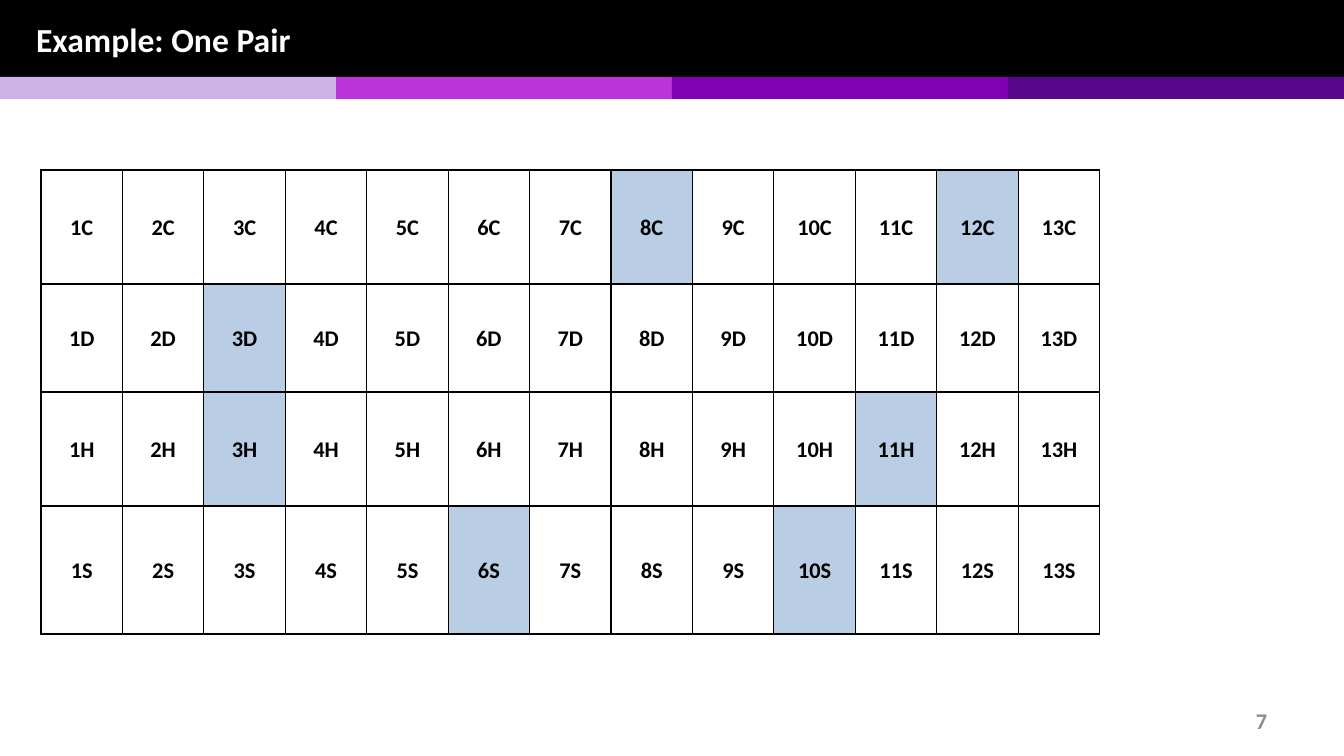
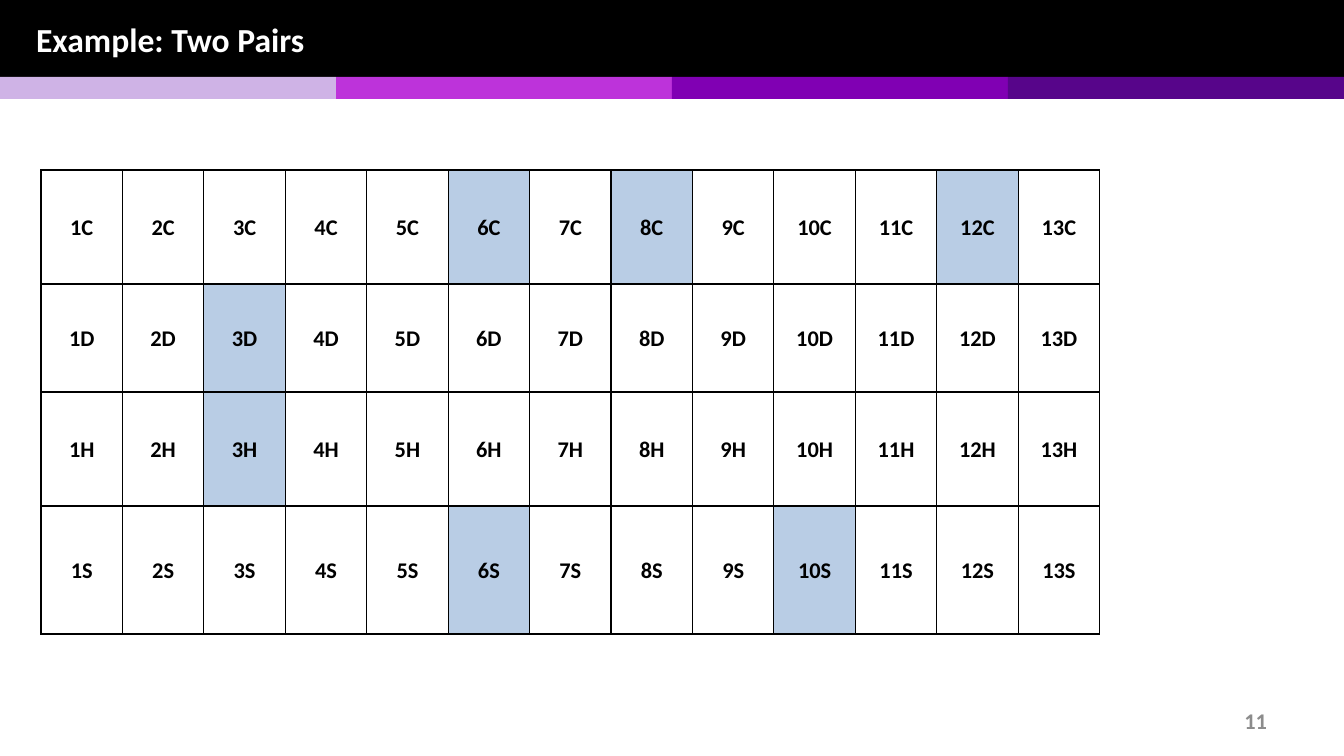
import pptx
import pptx.dml.color
import pptx.enum.shapes
import pptx.enum.text
import pptx.oxml
import pptx.oxml.ns
import pptx.util


class Theme:
    font = "Calibri"
    black = "000000"
    white = "FFFFFF"
    grey = "8C8C8C"
    highlight = "B9CDE5"
    bands = ("CFB3E6", "BD33DA", "8000B3", "57058A")
    title_size = 24
    text_size = 16


ALIGN = pptx.enum.text.PP_ALIGN
MIDDLE = pptx.enum.text.MSO_ANCHOR.MIDDLE
WIDTH, HEIGHT = 1344, 756
HEADER_H, BAND_H = 77, 22
TABLE_W, ROW_HEIGHTS = 1059, (114, 108, 114, 128)
RANKS, SUITS = range(1, 14), "CDHS"
SLIDES = (
    ("Example: One Pair", "7", {"8C", "12C", "3D", "3H", "11H", "6S", "10S"}),
    ("Example: Two Pairs", "11", {"6C", "8C", "12C", "3D", "3H", "6S", "10S"}),
)


def px(n):
    return pptx.util.Emu(round(n * 914400 / 100.8))


def write(tf, text, size=Theme.text_size, color=Theme.black, align=ALIGN.LEFT, spacing=1.0):
    tf.word_wrap = True
    p = tf.paragraphs[0]
    p.alignment = align
    p.line_spacing = spacing
    p.space_before = pptx.util.Pt(0)
    r = p.add_run()
    r.text = text
    r.font.name = Theme.font
    r.font.size = pptx.util.Pt(size)
    r.font.bold = True
    r.font.color.rgb = pptx.dml.color.RGBColor.from_string(color)


prs = pptx.Presentation()
prs.slide_width, prs.slide_height = px(WIDTH), px(HEIGHT)
layout = prs.slide_layouts.get_by_name("Title Only")
slides = [prs.slides.add_slide(layout) for _ in SLIDES]

band_w = WIDTH // len(Theme.bands)
bars = [(0, 0, WIDTH, HEADER_H, Theme.black)]
bars += [(i * band_w, HEADER_H, band_w, BAND_H, color) for i, color in enumerate(Theme.bands)]
for i, (x, y, w, h, color) in enumerate(bars):
    sp = slides[0].shapes.add_shape(
        pptx.enum.shapes.MSO_SHAPE.RECTANGLE, px(x), px(y), px(w), px(h))
    sp.shadow.inherit = False
    sp.fill.solid()
    sp.fill.fore_color.rgb = pptx.dml.color.RGBColor.from_string(color)
    sp.line.fill.background()
    layout.shapes.element.insert(2 + i, sp.element)

title = layout.placeholders[0]
title.left, title.top, title.width, title.height = px(26), px(1), px(1292), px(76)
title.text_frame.vertical_anchor = MIDDLE

for s, (heading, number, hand) in zip(slides, SLIDES):
    tf = s.shapes.title.text_frame
    tf.auto_size = pptx.enum.text.MSO_AUTO_SIZE.NONE
    write(tf, heading, size=Theme.title_size, color=Theme.white)

    tf = s.shapes.add_textbox(px(964), px(701), px(313), px(40)).text_frame
    tf.vertical_anchor = MIDDLE
    write(tf, number, color=Theme.grey, align=ALIGN.RIGHT)

    table = s.shapes.add_table(
        len(SUITS), len(RANKS), px(41), px(170), px(TABLE_W), px(sum(ROW_HEIGHTS))).table
    table.first_row = table.horz_banding = False
    for col in table.columns:
        col.width = px(TABLE_W / len(RANKS))
    for row, suit, h in zip(table.rows, SUITS, ROW_HEIGHTS):
        row.height = px(h)
        for cell, rank in zip(row.cells, RANKS):
            card = f"{rank}{suit}"
            cell.margin_left = cell.margin_right = px(7)
            cell.margin_top = cell.margin_bottom = 0
            cell.vertical_anchor = MIDDLE
            write(cell.text_frame, card, align=ALIGN.CENTER, spacing=1.07)
            for side in "LRTB":
                cell._tc.get_or_add_tcPr().append(pptx.oxml.parse_xml(
                    f'<a:ln{side} {pptx.oxml.ns.nsdecls("a")} w="12700"><a:solidFill>'
                    f'<a:srgbClr val="{Theme.black}"/></a:solidFill></a:ln{side}>'))
            if card in hand:
                cell.fill.solid()
                cell.fill.fore_color.rgb = pptx.dml.color.RGBColor.from_string(Theme.highlight)
            else:
                cell.fill.background()

prs.save("out.pptx")
